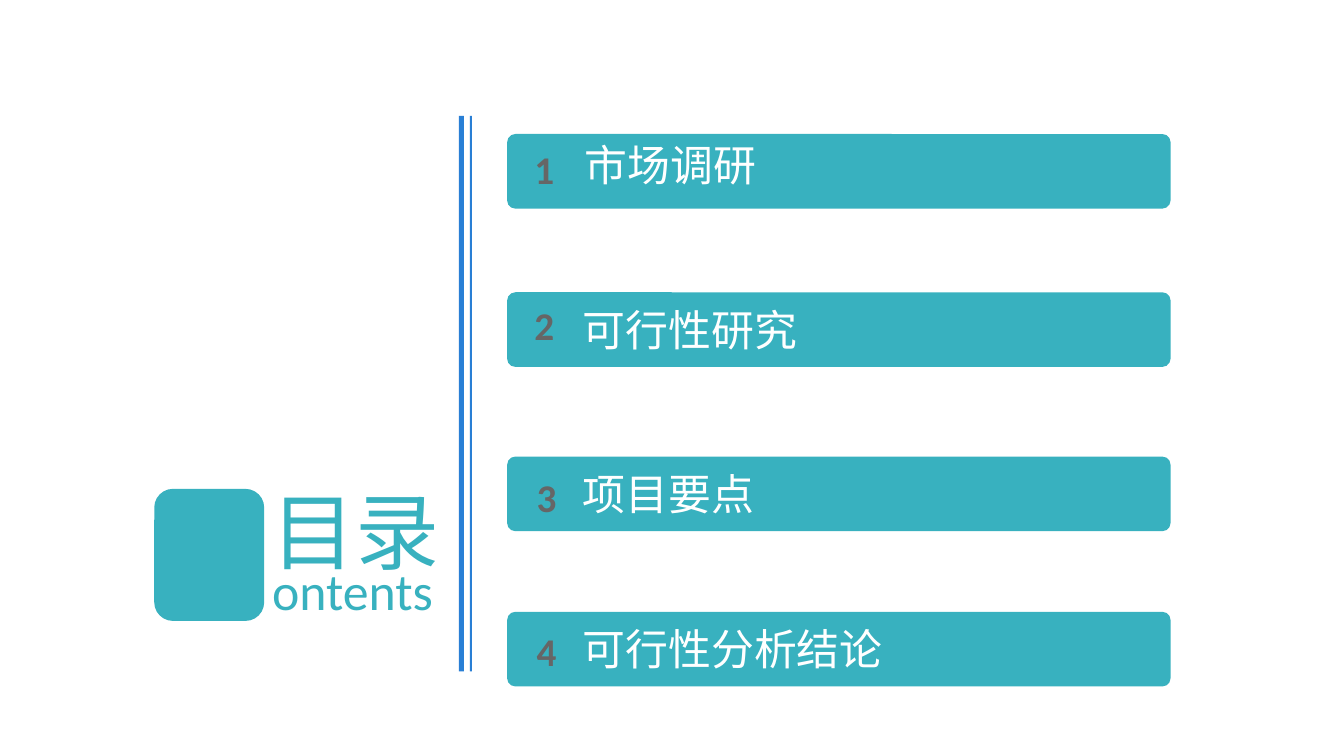
import pptx
import pptx.dml.color
import pptx.enum.shapes
import pptx.enum.text
import pptx.util
from dataclasses import dataclass
from pptx.util import Inches

SHAPE = pptx.enum.shapes.MSO_SHAPE
ALIGN = pptx.enum.text.PP_ALIGN
ANCHOR = pptx.enum.text.MSO_ANCHOR


@dataclass(frozen=True)
class Theme:
    font: str = "Calibri"
    teal: str = "38B1BF"
    blue: str = "297FD5"
    grey: str = "666666"
    white: str = "FFFFFF"
    title: float = 60
    subtitle: float = 37
    label: float = 30.6
    number: float = 28


THEME = Theme()

AGENDA = [
    ("市场调研", 1.33, (5.2, 1.39), (5.7, 1.33, 5.08)),
    ("可行性研究", 2.9, (5.2, 2.94), (5.68, 2.96, 3.79)),
    ("项目要点", 4.53, (5.22, 4.64), (5.68, 4.59, 4.27)),
    ("可行性分析结论", 6.07, (5.22, 6.17), (5.68, 6.13, 4.27)),
]


def rgb(color):
    return pptx.dml.color.RGBColor.from_string(color)


def add_block(s, kind, left, top, width, height, color, radius=None):
    sp = s.shapes.add_shape(
        kind, Inches(left), Inches(top), Inches(width), Inches(height))
    sp.shadow.inherit = False
    sp.fill.solid()
    sp.fill.fore_color.rgb = rgb(color)
    sp.line.fill.background()
    if radius is not None:
        sp.adjustments[0] = radius
    return sp


def set_text(sp, text, size, color, align=ALIGN.LEFT, bold=False, inset=0, wrap=True):
    tf = sp.text_frame
    tf.text = text
    tf.word_wrap = wrap
    tf.auto_size = pptx.enum.text.MSO_AUTO_SIZE.NONE
    tf.vertical_anchor = ANCHOR.MIDDLE
    tf.margin_left = tf.margin_right = Inches(inset)
    tf.margin_top = tf.margin_bottom = 0
    p = tf.paragraphs[0]
    p.alignment = align
    r = p.runs[0]
    r.font.name = THEME.font
    r.font.size = pptx.util.Pt(size)
    r.font.bold = bold
    r.font.color.rgb = rgb(color)


def add_heading(s):
    add_block(s, SHAPE.ROUNDED_RECTANGLE, 1.53, 4.85, 1.09, 1.31, THEME.teal, 0.17)
    title = s.shapes.title
    title.left, title.top = Inches(2.69), Inches(4.76)
    title.width, title.height = Inches(1.8), Inches(1)
    set_text(title, "目录", THEME.title, THEME.teal)
    subtitle = s.shapes.add_textbox(
        Inches(2.7), Inches(5.55), Inches(1.75), Inches(0.61))
    set_text(subtitle, "ontents", THEME.subtitle, THEME.teal)


def add_divider(s):
    for left, width in ((4.55, 0.05), (4.66, 0.02)):
        add_block(s, SHAPE.RECTANGLE, left, 1.15, width, 5.51, THEME.blue)


def add_agenda_item(s, number, text, bar_top, number_at, label_at):
    add_block(s, SHAPE.ROUNDED_RECTANGLE, 5.03, bar_top, 6.58, 0.74, THEME.teal, 0.11)
    badge = add_block(s, SHAPE.RECTANGLE, *number_at, 0.4, 0.57, THEME.teal)
    set_text(badge, str(number), THEME.number, THEME.grey,
             align=ALIGN.CENTER, bold=True, wrap=False)
    label = add_block(s, SHAPE.RECTANGLE, *label_at, 0.61, THEME.teal)
    set_text(label, text, THEME.label, THEME.white, inset=0.1)


def main():
    prs = pptx.Presentation()
    prs.slide_width, prs.slide_height = Inches(13.33), Inches(7.5)
    s = prs.slides.add_slide(prs.slide_layouts[5])
    add_heading(s)
    add_divider(s)
    for number, item in enumerate(AGENDA, 1):
        add_agenda_item(s, number, *item)
    prs.save("out.pptx")


if __name__ == "__main__":
    main()
